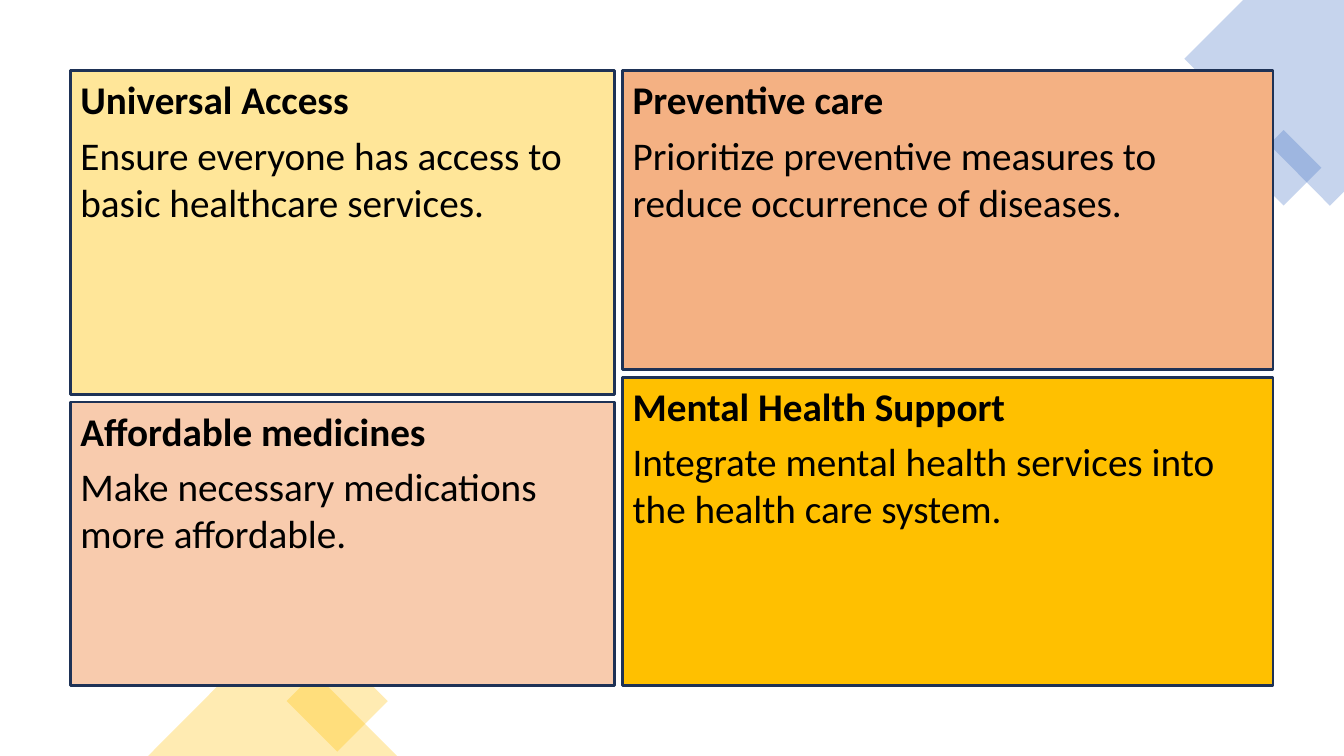
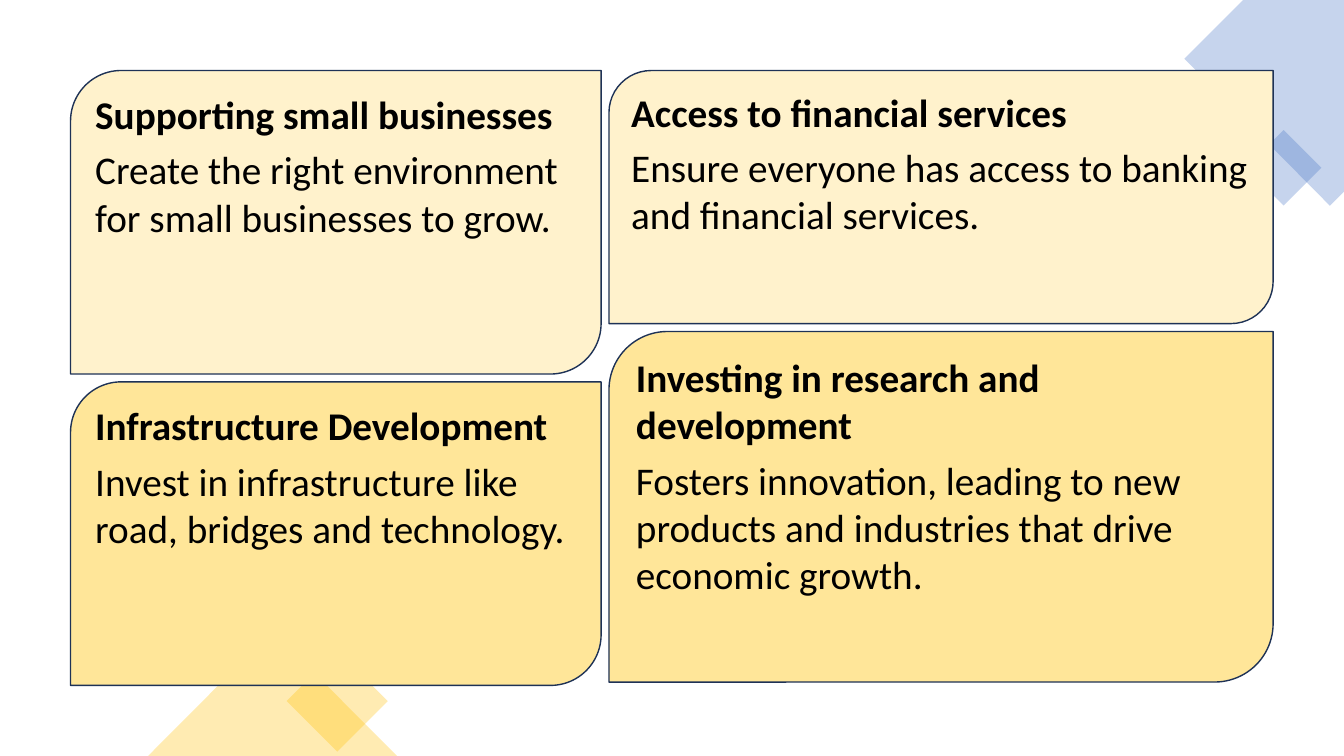
from lxml import etree
from pptx import Presentation
from pptx.dml.color import RGBColor
from pptx.enum.shapes import MSO_SHAPE
from pptx.enum.text import MSO_ANCHOR, PP_ALIGN
from pptx.oxml.ns import qn
from pptx.util import Pt

RECTANGLE = MSO_SHAPE.RECTANGLE
TRIANGLE = MSO_SHAPE.ISOSCELES_TRIANGLE
ROUNDED_DIAGONAL = MSO_SHAPE.ROUND_2_DIAG_RECTANGLE

COLORS = {
    "blue": "4472C4", "gold": "FFC000", "outline": "1E3256", "text": "000000",
    "yellow": "FFE699", "cream": "FFF2CC", "peach": "F8CBAD", "orange": "F4B183",
}
FONT, TEXT_SIZE, SPACE_AFTER = "Calibri", 28, 6
SLIDE_WIDTH, SLIDE_HEIGHT = 960, 540
LEFT, TOP, RIGHT, GAP = 50.4, 50.4, 909.4, 5.6
DECOR_ALPHA = 30

# Outline of the corner band, clipped at the slide edges
CORNER_BAND = [(960, 0), (888.5, 0), (846, 42.5), (950.4, 146.9), (960, 137.3)]
# Preset, left, top, width, height, rotation, colour
DECOR_SHAPES = [
    (RECTANGLE, 897.8, 100.8, 38.2, 38.2, 45, "blue"),
    (RECTANGLE, 215.3, 475.2, 51.1, 51.1, 45, "gold"),
    (TRIANGLE, 105.8, 450.7, 177.8, 89.3, 0, "gold"),
]

# Each column holds cards: height, colour, heading, body
SLIDES = [
    {
        "shape": RECTANGLE, "line": 2, "left_width": 388.8,
        "columns": [
            [
                (231.2, "yellow", "Universal Access",
                 "Ensure everyone has access to basic healthcare services."),
                (202.2, "peach", "Affordable medicines",
                 "Make necessary medications more affordable."),
            ],
            [
                (213.4, "orange", "Preventive care",
                 "Prioritize preventive measures to reduce occurrence of diseases."),
                (220, "gold", "Mental Health Support",
                 "Integrate mental health services into the health care system."),
            ],
        ],
    },
    {
        "shape": ROUNDED_DIAGONAL, "line": 1, "left_width": 379,
        "columns": [
            [
                (216.8, "cream", "Supporting small businesses",
                 "Create the right environment for small businesses to grow."),
                (216.8, "yellow", "Infrastructure Development",
                 "Invest in infrastructure like road, bridges and technology."),
            ],
            [
                (180.8, "cream", "Access to financial services",
                 "Ensure everyone has access to banking and financial services."),
                (250.4, "yellow", "Investing in research and development",
                 "Fosters innovation, leading to new products and industries "
                 "that drive economic growth."),
            ],
        ],
    },
]


def rgb(name):
    return RGBColor.from_string(COLORS[name])


def fill_shape(shape, color):
    shape.shadow.inherit = False
    shape.fill.solid()
    shape.fill.fore_color.rgb = rgb(color)


def style_decor(shape, color):
    fill_shape(shape, color)
    shape.line.fill.background()
    color_element = shape.element.spPr.find(f"{qn('a:solidFill')}/{qn('a:srgbClr')}")
    etree.SubElement(color_element, qn("a:alpha"), val=str(DECOR_ALPHA * 1000))


def add_decor(slide):
    builder = slide.shapes.build_freeform(*CORNER_BAND[0], scale=Pt(1))
    builder.add_line_segments(CORNER_BAND[1:], close=True)
    style_decor(builder.convert_to_shape(), "blue")
    for preset, left, top, width, height, rotation, color in DECOR_SHAPES:
        shape = slide.shapes.add_shape(preset, Pt(left), Pt(top), Pt(width), Pt(height))
        shape.rotation = rotation
        style_decor(shape, color)


def add_paragraph_text(paragraph, text, bold):
    paragraph.alignment = PP_ALIGN.LEFT
    paragraph.space_after = Pt(SPACE_AFTER)
    run = paragraph.add_run()
    run.text = text
    run.font.name = FONT
    run.font.size = Pt(TEXT_SIZE)
    run.font.bold = bold
    run.font.color.rgb = rgb("text")


def add_card(slide, preset, line_width, box, color, heading, body):
    card = slide.shapes.add_shape(preset, *map(Pt, box))
    fill_shape(card, color)
    card.line.color.rgb = rgb("outline")
    card.line.width = Pt(line_width)
    frame = card.text_frame
    frame.word_wrap = True
    frame.vertical_anchor = MSO_ANCHOR.TOP
    add_paragraph_text(frame.paragraphs[0], heading, True)
    add_paragraph_text(frame.add_paragraph(), body, False)


def add_cards(slide, content):
    middle = LEFT + content["left_width"] + GAP
    column_boxes = [(LEFT, content["left_width"]), (middle, RIGHT - middle)]
    for (left, width), cards in zip(column_boxes, content["columns"]):
        top = TOP
        for height, color, heading, body in cards:
            add_card(slide, content["shape"], content["line"],
                     (left, top, width, height), color, heading, body)
            top += height + GAP


def main():
    presentation = Presentation()
    presentation.slide_width = Pt(SLIDE_WIDTH)
    presentation.slide_height = Pt(SLIDE_HEIGHT)
    blank_layout = presentation.slide_layouts[6]
    for content in SLIDES:
        slide = presentation.slides.add_slide(blank_layout)
        add_decor(slide)
        add_cards(slide, content)
    presentation.save("out.pptx")


if __name__ == "__main__":
    main()
